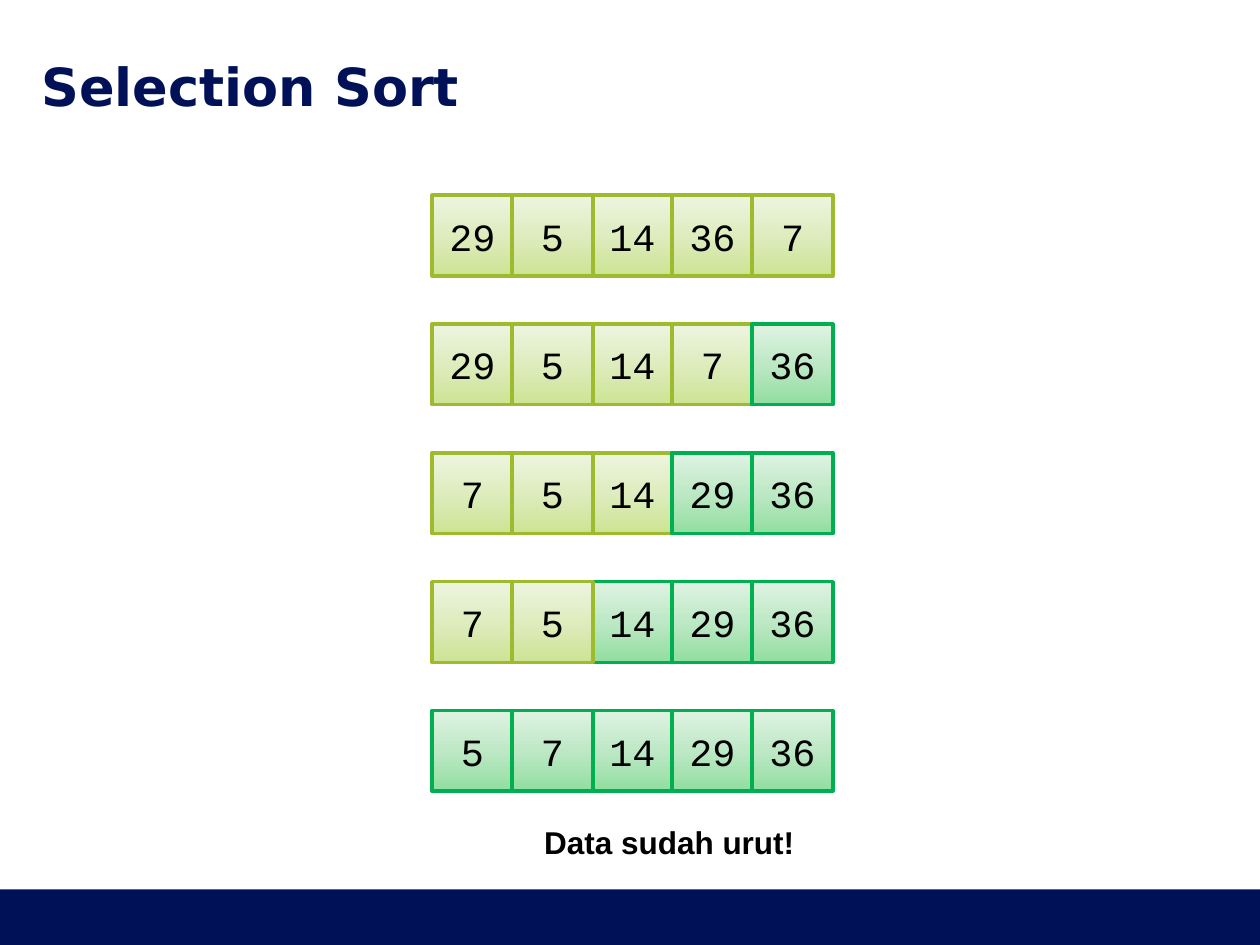
"""Build a slide that shows the passes of a selection sort."""
from copy import deepcopy

from pptx import Presentation
from pptx.dml.color import RGBColor
from pptx.enum.shapes import MSO_SHAPE
from pptx.enum.text import MSO_ANCHOR, MSO_AUTO_SIZE, PP_ALIGN
from pptx.util import Inches, Pt

RECTANGLE = MSO_SHAPE.RECTANGLE
MIDDLE = MSO_ANCHOR.MIDDLE
LEFT, CENTER = PP_ALIGN.LEFT, PP_ALIGN.CENTER
FIT_SHAPE = MSO_AUTO_SIZE.SHAPE_TO_FIT_TEXT

TITLE = "Selection Sort"
CAPTION = "Data sudah urut!"
PASSES = [
    {"values": [29, 5, 14, 36, 7], "sorted_from": 5},
    {"values": [29, 5, 14, 7, 36], "sorted_from": 4},
    {"values": [7, 5, 14, 29, 36], "sorted_from": 3},
    {"values": [7, 5, 14, 29, 36], "sorted_from": 2},
    {"values": [5, 7, 14, 29, 36], "sorted_from": 0},
]
DRAW_ORDER = [0, 2, 1, 3, 4]

THEME = {
    "navy": "001158",
    "black": "000000",
    "unsorted": {"line": "9EBA2E", "stops": ["CCE493", "DEECBE", "EEF5E0"]},
    "sorted": {"line": "00B050", "stops": ["91DEA0", "BDE8C5", "DFF3E3"]},
    "title_font": ("DejaVu Sans", 30, True),
    "cell_font": ("Courier New", 22, False),
    "caption_font": ("Arial", 18, True),
}

CELL = 0.64
FIRST_LEFT, LAST_LEFT = 3.43, 5.97
FIRST_TOP, LAST_TOP = 1.55, 5.64
COLUMN_STEP = (LAST_LEFT - FIRST_LEFT) / (len(DRAW_ORDER) - 1)
ROW_STEP = (LAST_TOP - FIRST_TOP) / (len(PASSES) - 1)


def box(left, top, width, height):
    return [Inches(length) for length in (left, top, width, height)]


def write(text_frame, text, font_key, color, alignment):
    text_frame.text = text
    paragraph = text_frame.paragraphs[0]
    paragraph.alignment = alignment
    name, size, bold = THEME[font_key]
    font = paragraph.runs[0].font
    font.name, font.size, font.bold = name, Pt(size), bold
    font.color.rgb = RGBColor.from_string(THEME[color])


def fill_gradient(fill, colors):
    fill.gradient()
    fill.gradient_angle = 90
    first = fill.gradient_stops[0]._gs
    for _ in colors[2:]:
        first.addnext(deepcopy(first))
    for index, (stop, color) in enumerate(zip(fill.gradient_stops, colors)):
        stop.position = index / (len(colors) - 1)
        stop.color.rgb = RGBColor.from_string(color)


def add_band(slide):
    band = slide.shapes.add_shape(RECTANGLE, *box(0, 7.06, 10, 0.44))
    band.shadow.inherit = False
    band.fill.solid()
    band.fill.fore_color.rgb = RGBColor.from_string(THEME["navy"])
    band.line.fill.background()


def add_title(slide):
    title = slide.shapes.title
    title.left, title.top, title.width, title.height = box(0.33, 0.44, 9.34, 0.47)
    text_frame = title.text_frame
    text_frame.margin_left = text_frame.margin_right = 0
    text_frame.margin_top = text_frame.margin_bottom = 0
    text_frame.vertical_anchor = MIDDLE
    write(text_frame, TITLE, "title_font", "navy", LEFT)


def add_cell(slide, row, column, value, style):
    left = FIRST_LEFT + column * COLUMN_STEP
    top = FIRST_TOP + row * ROW_STEP
    cell = slide.shapes.add_shape(RECTANGLE, *box(left, top, CELL, CELL))
    cell.shadow.inherit = False
    fill_gradient(cell.fill, style["stops"])
    cell.line.color.rgb = RGBColor.from_string(style["line"])
    cell.line.width = Pt(2)
    cell.text_frame.vertical_anchor = MIDDLE
    write(cell.text_frame, str(value), "cell_font", "black", CENTER)


def add_caption(slide):
    caption = slide.shapes.add_textbox(*box(4.22, 6.48, 2.21, 0.4))
    caption.text_frame.word_wrap = False
    caption.text_frame.auto_size = FIT_SHAPE
    write(caption.text_frame, CAPTION, "caption_font", "black", LEFT)


def main():
    presentation = Presentation()
    presentation.slide_width, presentation.slide_height = Inches(10), Inches(7.5)
    slide = presentation.slides.add_slide(presentation.slide_layouts[5])
    add_band(slide)
    add_title(slide)
    for row, sort_pass in enumerate(PASSES):
        for column in DRAW_ORDER:
            state = "sorted" if column >= sort_pass["sorted_from"] else "unsorted"
            add_cell(slide, row, column, sort_pass["values"][column], THEME[state])
    add_caption(slide)
    presentation.save("out.pptx")


if __name__ == "__main__":
    main()
